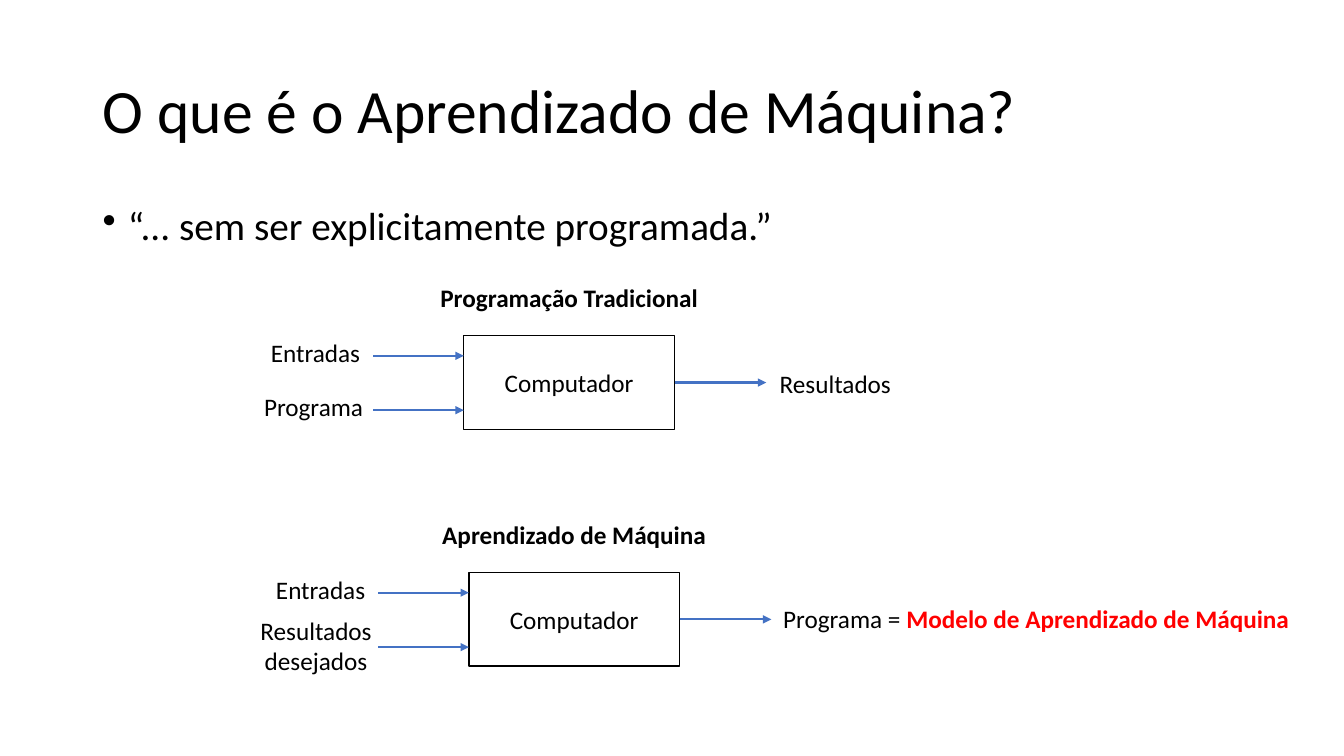
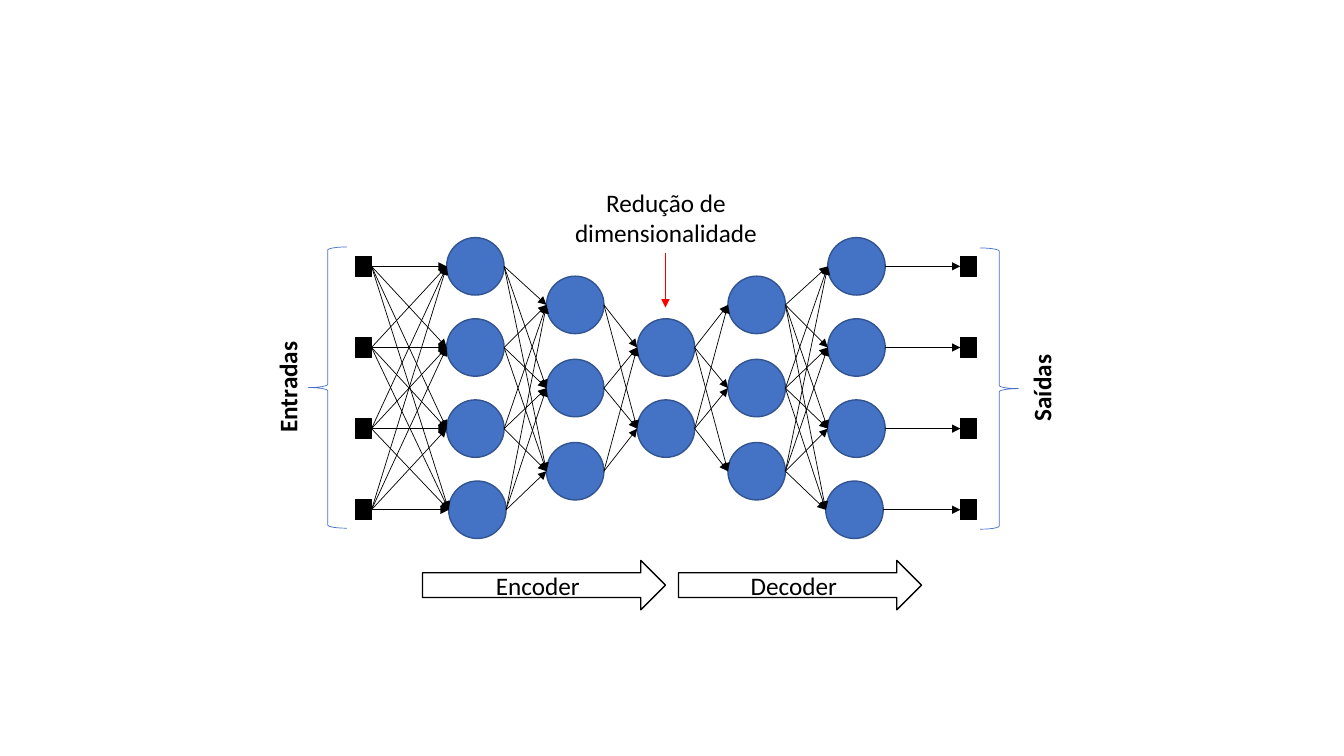
"""Builds two slides on machine learning and an encoder-decoder network."""
from lxml import etree
from pptx import Presentation
from pptx.dml.color import RGBColor
from pptx.enum.shapes import MSO_CONNECTOR, MSO_SHAPE
from pptx.enum.text import MSO_ANCHOR, PP_ALIGN
from pptx.oxml.ns import qn
from pptx.util import Inches, Pt

RECT, OVAL = MSO_SHAPE.RECTANGLE, MSO_SHAPE.OVAL
BRACE, BLOCK = MSO_SHAPE.LEFT_BRACE, MSO_SHAPE.RIGHT_ARROW
LINE = MSO_CONNECTOR.STRAIGHT
LEFT, MID = PP_ALIGN.LEFT, PP_ALIGN.CENTER
TOP, HALF = MSO_ANCHOR.TOP, MSO_ANCHOR.MIDDLE
BLACK, BLUE, NAVY, RED = "000000", "4472C4", "325491", "FF0000"
FONT = "Calibri"
AXIS_X, AXIS_Y = 6.605, 3.85
DOT = 0.57


def rgb(code):
    return RGBColor.from_string(code)


def write(para, text, size=18, bold=False, align=MID):
    para.text = text
    para.alignment = align
    font = para.font
    font.name, font.size, font.bold = FONT, Pt(size), bold
    font.color.rgb = rgb(BLACK)


def label(slide, text, x, y, w, h=0.4, size=18, bold=False, align=MID,
          anchor=TOP, turn=0):
    box = slide.shapes.add_textbox(*map(Inches, (x, y, w, h)))
    box.rotation = turn
    frame = box.text_frame
    frame.word_wrap = True
    frame.vertical_anchor = anchor
    write(frame.paragraphs[0], text, size, bold, align)
    return frame.paragraphs[0]


def shape(slide, kind, x, y, w, h, fill=None, line=BLACK, width=1, text=""):
    item = slide.shapes.add_shape(kind, *map(Inches, (x, y, w, h)))
    item.shadow.inherit = False
    if fill:
        item.fill.solid()
        item.fill.fore_color.rgb = rgb(fill)
    else:
        item.fill.background()
    item.line.color.rgb = rgb(line)
    item.line.width = Pt(width)
    if text:
        item.text_frame.vertical_anchor = HALF
        write(item.text_frame.paragraphs[0], text)
    return item


def arrow(slide, x1, y1, x2, y2, color=BLACK, width=0.5):
    item = slide.shapes.add_connector(LINE, *map(Inches, (x1, y1, x2, y2)))
    item.line.color.rgb = rgb(color)
    item.line.width = Pt(width)
    tail = etree.SubElement(item.line._get_or_add_ln(), qn("a:tailEnd"))
    tail.set("type", "triangle")
    etree.SubElement(item._element.spPr, qn("a:effectLst"))
    return item


def title(slide, text):
    para = label(slide, text, 0.92, 0.4, 11.5, 1.45, 44, align=LEFT,
                 anchor=HALF)
    para.line_spacing = 0.9


def bullet(slide, text):
    para = label(slide, text, 0.92, 2, 11.5, 4.76, 28, align=LEFT)
    para.line_spacing = 0.9
    props = para._p.get_or_add_pPr()
    props.set("marL", str(Inches(0.25)))
    props.set("indent", str(Inches(-0.25)))
    mark = etree.Element(qn("a:buChar"), char="•")
    props.find(qn("a:lnSpc")).addnext(mark)


def flow(slide, head, x, y):
    """Draws a computer box with its heading, two inputs and one output."""
    box = shape(slide, RECT, x, y, 2.09, 0.93, text="Computador")
    label(slide, head, x - 0.4, y - 0.58, 2.89, bold=True)
    label(slide, "Entradas", x - 2.04, y - 0.03, 1.14)
    for drop in (0.2, 0.74):
        arrow(slide, x - 0.9, y + drop, x, y + drop, BLUE, 1.5)
    out = arrow(slide, x + 2.09, y + 0.465, x + 3, y + 0.465, BLUE, 1.5)
    out.begin_connect(box, 3)


def layer(slide, kind, x, count, step, w, h, fill, line, nudge=0):
    """Draws a column of nodes and returns each with its place and width."""
    nodes = []
    for i in range(count):
        cx = x + (nudge if i == count - 1 else 0)
        cy = AXIS_Y + (i - (count - 1) / 2) * step
        item = shape(slide, kind, cx - w / 2, cy - h / 2, w, h, fill, line)
        nodes.append((item, cx, cy, w / 2))
    return nodes


def link(slide, pairs):
    for (start, x1, y1, r1), (end, x2, y2, r2) in pairs:
        item = arrow(slide, x1 + r1, y1, x2 - r2, y2)
        if start.auto_shape_type == RECT:
            item.begin_connect(start, 3)
        if end.auto_shape_type == RECT:
            item.end_connect(end, 1)


def network(slide):
    """Draws the layers, mirrored about the middle one, and their links."""
    def ports(x):
        return layer(slide, RECT, x, 4, 0.805, 0.16, 0.2, BLACK, BLACK)

    def dots(x, count, step=0.805, nudge=0):
        return layer(slide, OVAL, x, count, step, DOT, DOT, BLUE, NAVY, nudge)

    far, wide, near = 3, 1.89, 0.9
    cols = [
        ports(AXIS_X - far),
        dots(AXIS_X - wide, 4, nudge=0.02),
        dots(AXIS_X - near, 3, 0.825),
        dots(AXIS_X, 2),
        dots(AXIS_X + near, 3, 0.825),
        dots(AXIS_X + wide, 4, nudge=-0.02),
    ]
    for col, after in zip(cols, cols[1:]):
        link(slide, [(a, b) for a in col for b in after])
    link(slide, zip(cols[-1], ports(AXIS_X + far)))


def concept(slide):
    title(slide, "O que é o Aprendizado de Máquina?")
    bullet(slide, "“... sem ser explicitamente programada.”")
    flow(slide, "Programação Tradicional", 4.6, 3.33)
    label(slide, "Programa", 2.47, 3.83, 1.28)
    label(slide, "Resultados", 7.62, 3.6, 1.33)
    flow(slide, "Aprendizado de Máquina", 4.65, 5.68)
    label(slide, "Resultados desejados", 2.47, 6.05, 1.33, 0.71)
    para = label(slide, "Programa = ", 7.67, 5.94, 5.37, align=LEFT)
    run = para.add_run()
    run.text = "Modelo de Aprendizado de Máquina"
    run.font.bold = True
    run.font.color.rgb = rgb(RED)


def coder(slide):
    network(slide)
    for text, x, tx, y, turn in (("Entradas", 3.06, 2.13, 2.45, 0),
                                 ("Saídas", 9.72, 9.61, 2.46, 180)):
        brace = shape(slide, BRACE, x, y, 0.38, 2.79, None, BLUE, 0.5)
        brace.rotation = turn
        label(slide, text, tx, y + 1.19, 1.44, bold=True, turn=270)
    for text, x in (("Encoder", 4.19), ("Decoder", 6.73)):
        shape(slide, BLOCK, x, 5.56, 2.41, 0.49, text=text)
    label(slide, "Redução de dimensionalidade", 5.5, 1.81, 2.21, 0.71)
    arrow(slide, 6.6, 2.51, 6.6, 3.05, RED)


def main():
    deck = Presentation()
    deck.slide_width, deck.slide_height = Inches(13.33), Inches(7.5)
    for build in (concept, coder):
        build(deck.slides.add_slide(deck.slide_layouts[6]))
    deck.save("out.pptx")


if __name__ == "__main__":
    main()
